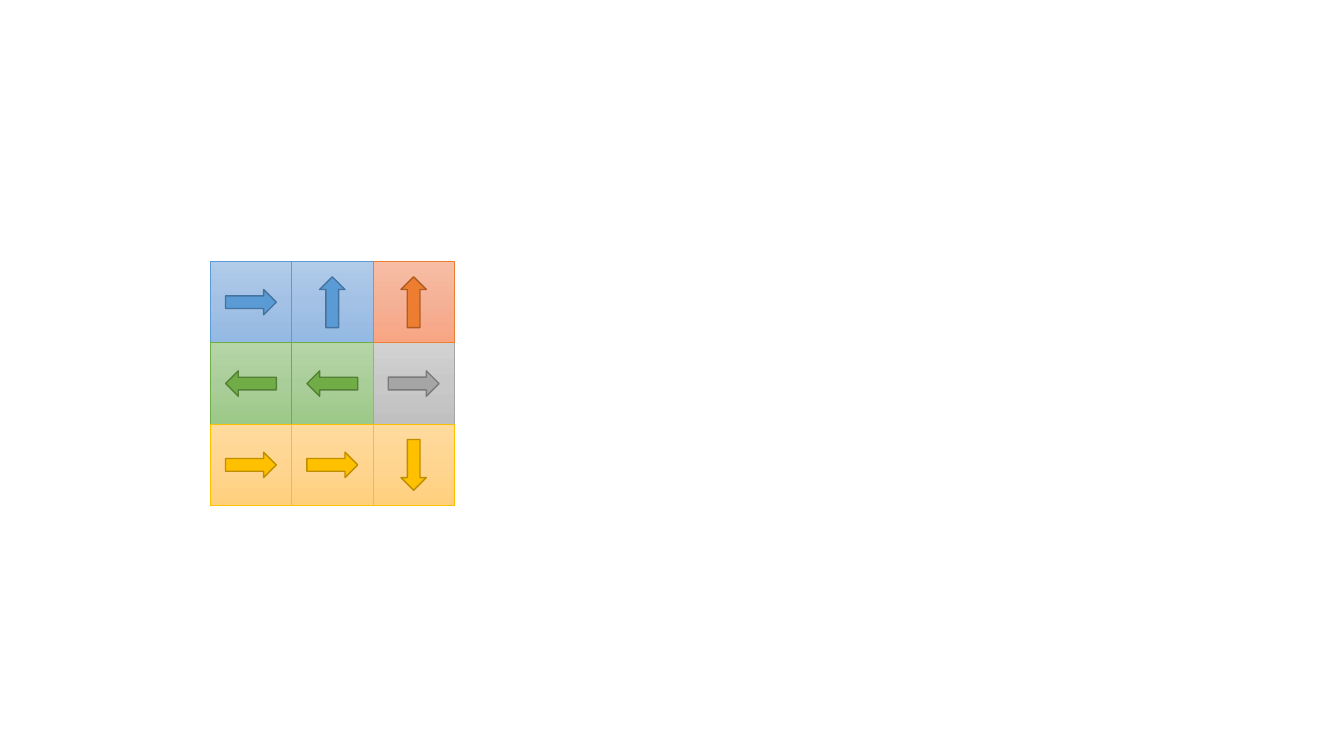
from copy import deepcopy
from dataclasses import dataclass

from pptx import Presentation
from pptx.dml.color import RGBColor
from pptx.enum.shapes import MSO_SHAPE
from pptx.oxml.ns import qn
from pptx.shapes.autoshape import Shape
from pptx.slide import Slide
from pptx.util import Cm, Pt

RECTANGLE = MSO_SHAPE.RECTANGLE
ARROW = MSO_SHAPE.RIGHT_ARROW
RIGHT, DOWN, LEFT, UP = 0, 90, 180, 270


@dataclass(frozen=True)
class Tone:
    gradient: tuple[str, str, str]
    main: str
    outline: str


@dataclass(frozen=True)
class Theme:
    blue: Tone = Tone(("B1CBE9", "A3C1E5", "93B9E4"), "5B9BD5", "43739E")
    green: Tone = Tone(("B5D5A7", "AACE9A", "9CC987"), "70AD47", "538035")
    grey: Tone = Tone(("D2D2D2", "C8C8C8", "C0C0C0"), "A5A5A5", "7A7A7A")
    orange: Tone = Tone(("F7BDA5", "F5B196", "F8A582"), "ED7D31", "AF5C24")
    yellow: Tone = Tone(("FFDB9E", "FFD590", "FFD07C"), "FFC000", "BD8E00")
    cell_line: float = 0.5
    arrow_line: float = 1


@dataclass(frozen=True)
class Cell:
    column: int
    row: int
    tone: Tone
    direction: int


THEME = Theme()
GRID_LEFT, GRID_TOP = Cm(5.3), Cm(6.59)
CELL_SIZE = Cm(2.05)
ARROW_WIDTH, ARROW_HEIGHT = Cm(1.28), Cm(0.64)
GRADIENT_POSITIONS = (0, 0.5, 1)

CELLS = (
    Cell(0, 0, THEME.blue, RIGHT),
    Cell(1, 0, THEME.blue, UP),
    Cell(1, 1, THEME.green, LEFT),
    Cell(0, 1, THEME.green, LEFT),
    Cell(2, 1, THEME.grey, RIGHT),
    Cell(2, 0, THEME.orange, UP),
    Cell(2, 2, THEME.yellow, DOWN),
    Cell(1, 2, THEME.yellow, RIGHT),
    Cell(0, 2, THEME.yellow, RIGHT),
)


def add_centred(slide: Slide, cell: Cell, preset: MSO_SHAPE, width: int, height: int,
                line_color: str, line_width: float) -> Shape:
    left = GRID_LEFT + cell.column * CELL_SIZE + (CELL_SIZE - width) // 2
    top = GRID_TOP + cell.row * CELL_SIZE + (CELL_SIZE - height) // 2
    shape = slide.shapes.add_shape(preset, left, top, width, height)
    shape.shadow.inherit = False
    shape.line.color.rgb = RGBColor.from_string(line_color)
    shape.line.width = Pt(line_width)
    return shape


def add_tile(slide: Slide, cell: Cell) -> None:
    tile = add_centred(slide, cell, RECTANGLE, CELL_SIZE, CELL_SIZE,
                       cell.tone.main, THEME.cell_line)
    tile.fill.gradient()
    tile.fill.gradient_angle = 270
    stop_list = tile.element.spPr.find(qn("a:gradFill")).find(qn("a:gsLst"))
    stop_list.append(deepcopy(stop_list[0]))
    stops = zip(tile.fill.gradient_stops, GRADIENT_POSITIONS, cell.tone.gradient)
    for stop, position, color in stops:
        stop.position = position
        stop.color.rgb = RGBColor.from_string(color)


def add_arrow(slide: Slide, cell: Cell) -> None:
    arrow = add_centred(slide, cell, ARROW, ARROW_WIDTH, ARROW_HEIGHT,
                        cell.tone.outline, THEME.arrow_line)
    arrow.fill.solid()
    arrow.fill.fore_color.rgb = RGBColor.from_string(cell.tone.main)
    arrow.rotation = cell.direction


deck = Presentation()
for name, value in {"slide_width": Cm(33.87), "slide_height": Cm(19.05)}.items():
    setattr(deck, name, value)
page = deck.slides.add_slide(deck.slide_layouts[6])
for draw in (add_tile, add_arrow):
    for cell in CELLS:
        draw(page, cell)
deck.save("out.pptx")
